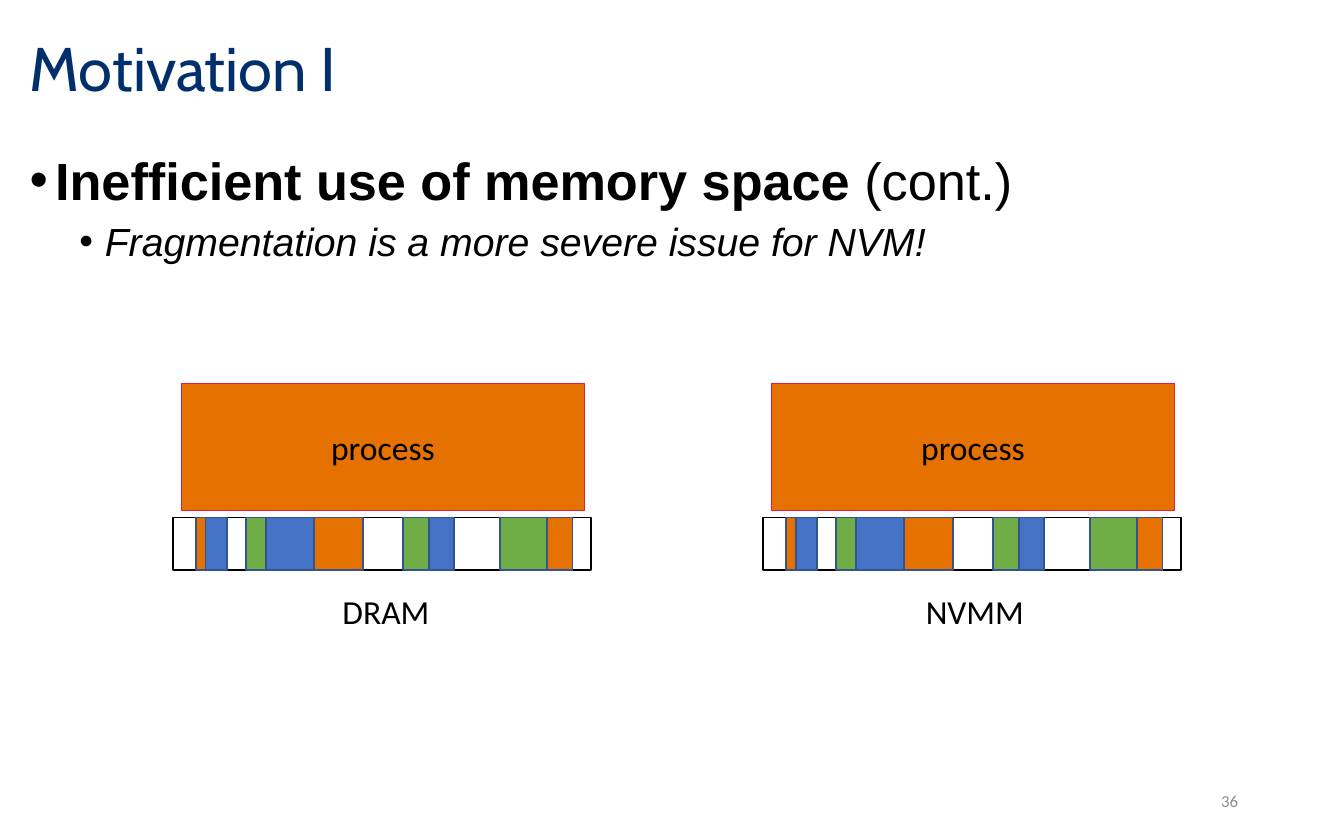
from dataclasses import dataclass

from lxml.etree import SubElement
from pptx import Presentation
from pptx.dml.color import RGBColor
from pptx.enum.shapes import MSO_SHAPE
from pptx.enum.text import MSO_ANCHOR as Anchor, MSO_AUTO_SIZE as AutoSize, PP_ALIGN as Align
from pptx.oxml.ns import qn
from pptx.util import Inches, Pt

BLACK = RGBColor(0x00, 0x00, 0x00)
WHITE = RGBColor(0xFF, 0xFF, 0xFF)
NAVY = RGBColor(0x00, 0x2F, 0x6C)
GRAY = RGBColor(0x8C, 0x8C, 0x8C)
BLUE = RGBColor(0x44, 0x72, 0xC4)
GREEN = RGBColor(0x70, 0xAD, 0x47)
ORANGE = RGBColor(0xE5, 0x72, 0x00)
BLOCK_EDGE = RGBColor(0x32, 0x54, 0x91)
PROCESS_EDGE = RGBColor(0xDF, 0x1E, 0x43)

MEMORY_TOP, MEMORY_HEIGHT = 3.85, 0.39


@dataclass(frozen=True)
class Block:
    """An allocated stretch of memory; offset is from the left end of the bar."""
    offset: float
    width: float
    color: RGBColor


@dataclass(frozen=True)
class Memory:
    name: str
    left: float
    label_left: float
    label_width: float


BLOCKS = [
    Block(0.17, 0.07, ORANGE),
    Block(0.24, 0.16, BLUE),
    Block(0.54, 0.16, GREEN),
    Block(0.69, 0.36, BLUE),
    Block(1.05, 0.36, ORANGE),
    Block(1.71, 0.19, GREEN),
    Block(1.90, 0.19, BLUE),
    Block(2.43, 0.36, GREEN),
    Block(2.78, 0.19, ORANGE),
]
MEMORIES = [Memory("DRAM", 1.29, 2.45, 0.86), Memory("NVMM", 5.68, 6.79, 0.94)]


def set_font(font, name: str, size: float, color: RGBColor) -> None:
    font.name, font.size = name, Pt(size)
    font.color.rgb = color


def place(shape, left: float, top: float, width: float, height: float) -> None:
    shape.left, shape.top = Inches(left), Inches(top)
    shape.width, shape.height = Inches(width), Inches(height)


def add_rectangle(page, left: float, top: float, width: float, height: float,
                  fill: RGBColor, edge: RGBColor, edge_width: float = 1):
    box = page.shapes.add_shape(MSO_SHAPE.RECTANGLE, Inches(left), Inches(top),
                                Inches(width), Inches(height))
    box.shadow.inherit = False
    box.fill.solid()
    box.fill.fore_color.rgb = fill
    box.line.color.rgb = edge
    box.line.width = Pt(edge_width)
    return box


def add_label(page, text: str, left: float, top: float, width: float, height: float,
              size: float, color: RGBColor):
    box = page.shapes.add_textbox(Inches(left), Inches(top), Inches(width), Inches(height))
    para = box.text_frame.paragraphs[0]
    para.text = text
    set_font(para.font, "Calibri", size, color)
    return box


def set_bullet(para, margin: float, hanging: float) -> None:
    properties = para._p.get_or_add_pPr()
    properties.set("marL", str(Inches(margin)))
    properties.set("indent", str(-Inches(hanging)))
    SubElement(properties, qn("a:buFont"), typeface="Arial")
    SubElement(properties, qn("a:buChar"), char="•")


def fill_title(title) -> None:
    place(title, 0.12, 0.1, 8.52, 0.86)
    frame = title.text_frame
    frame.text = "Motivation I"
    frame.auto_size = AutoSize.NONE
    frame.vertical_anchor = Anchor.MIDDLE
    para = frame.paragraphs[0]
    para.alignment = Align.LEFT
    para.line_spacing = 0.9
    set_font(para.font, "Cabin", 33, NAVY)


def fill_body(body) -> None:
    place(body, 0.12, 1.05, 9.77, 4.58)
    frame = body.text_frame
    frame.auto_size = AutoSize.NONE
    point = frame.paragraphs[0]
    set_bullet(point, 0.19, 0.19)
    point.space_before = Pt(0)
    set_font(point.font, "Arial", 28, BLACK)
    span = point.add_run()
    span.text = "Inefficient use of memory space "
    span.font.bold = True
    point.add_run().text = "(cont.)"

    detail = frame.add_paragraph()
    detail.text = "Fragmentation is a more severe issue for NVM!"
    detail.level = 1
    set_bullet(detail, 0.56, 0.19)
    detail.space_before = Pt(3.8)
    set_font(detail.font, "Arial", 21, BLACK)
    detail.font.italic = True


def draw_memory(page, memory: Memory) -> None:
    """Draw the fragmented bar, its name, and the process waiting above it."""
    add_rectangle(page, memory.left, MEMORY_TOP, 3.11, MEMORY_HEIGHT, WHITE, BLACK)
    for block in BLOCKS:
        add_rectangle(page, memory.left + block.offset, MEMORY_TOP, block.width,
                      MEMORY_HEIGHT, block.color, BLOCK_EDGE)
    label = add_label(page, memory.name, memory.label_left, 4.35, memory.label_width, 0.4,
                      18, BLACK)
    label.text_frame.word_wrap = False
    label.text_frame.auto_size = AutoSize.SHAPE_TO_FIT_TEXT

    process = add_rectangle(page, memory.left + 0.06, 2.85, 3, 0.95, ORANGE, PROCESS_EDGE, 0.5)
    process.text_frame.vertical_anchor = Anchor.MIDDLE
    para = process.text_frame.paragraphs[0]
    para.text = "process"
    para.alignment = Align.CENTER
    set_font(para.font, "Calibri", 18, BLACK)


def main() -> None:
    deck = Presentation()
    deck.slide_width, deck.slide_height = Inches(10), Inches(6.25)
    page = deck.slides.add_slide(deck.slide_layouts[1])
    fill_title(page.shapes.title)
    fill_body(page.placeholders[1])
    for memory in MEMORIES:
        draw_memory(page, memory)

    number = add_label(page, "36", 7.06, 5.79, 2.25, 0.33, 9, GRAY)
    number.text_frame.word_wrap = True
    number.text_frame.vertical_anchor = Anchor.MIDDLE
    number.text_frame.paragraphs[0].alignment = Align.RIGHT
    deck.save("out.pptx")


if __name__ == "__main__":
    main()
